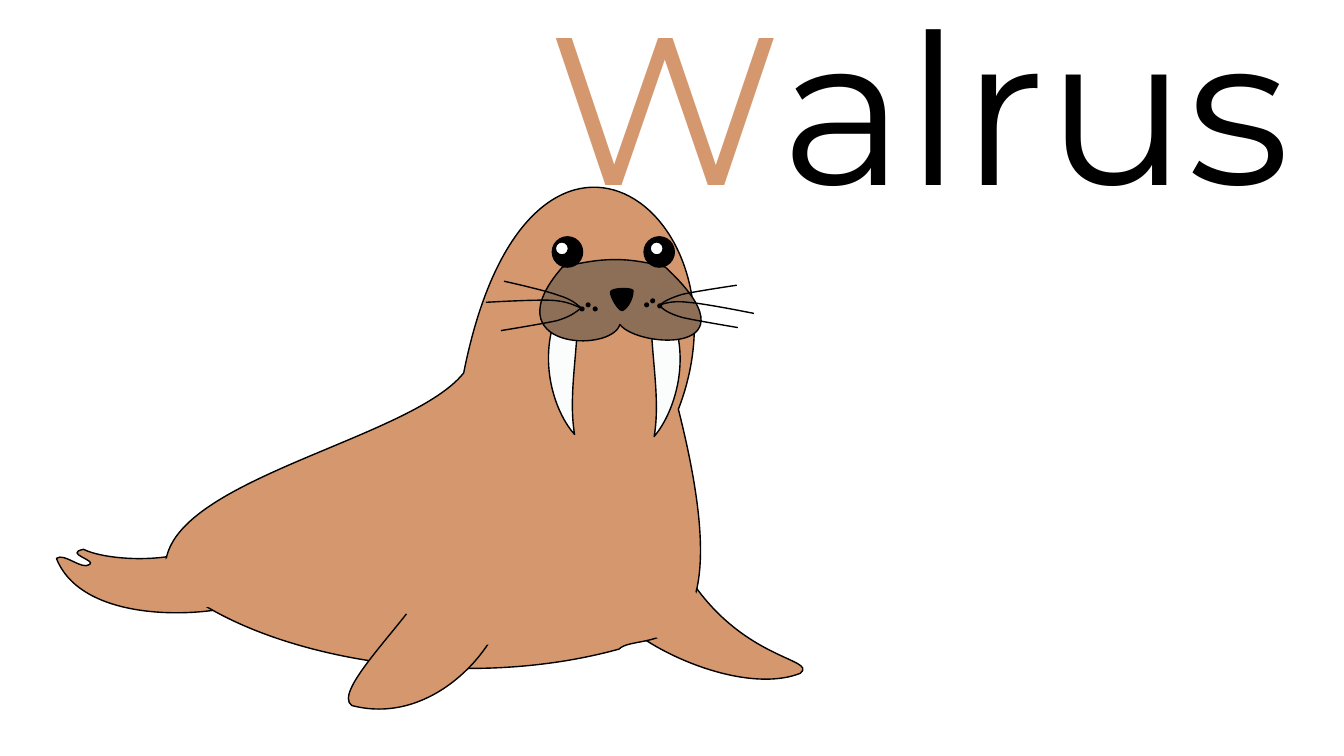
import math

import lxml.etree
import pptx
import pptx.dml.color
import pptx.enum.shapes
import pptx.oxml.ns
import pptx.util

UNIT = pptx.util.Pt(0.72)  # drawing grid: 100 units to the inch
SKIN, MUZZLE, TUSK, BLACK, WHITE = "D4976E", "8D6E56", "FBFCFC", "000000", "FFFFFF"


def color(value):
    return pptx.dml.color.RGBColor.from_string(value)


def paint(part, fill, outlined):
    part.shadow.inherit = False
    if fill:
        part.fill.solid()
        part.fill.fore_color.rgb = color(fill)
    else:
        part.fill.background()
    if outlined:
        part.line.color.rgb = color(BLACK)
        part.line.width = pptx.util.Pt(1)
    else:
        part.line.fill.background()


presentation = pptx.Presentation()
presentation.slide_width = pptx.util.Pt(960)
presentation.slide_height = pptx.util.Pt(540)
slide = presentation.slides.add_slide(presentation.slide_layouts[6])

# Title word
word = slide.shapes.add_textbox(
    pptx.util.Pt(384.5), pptx.util.Pt(-20.9), pptx.util.Pt(580.3), pptx.util.Pt(189.4))
word.text_frame.word_wrap = True
letters = word.text_frame.paragraphs[0]
letters.font.name = "Montserrat"
letters.font.size = pptx.util.Pt(150)
for text, text_color in (("W", SKIN), ("alrus", BLACK)):
    run = letters.add_run()
    run.text = text
    run.font.color.rgb = color(text_color)

# Outlines: fill, outlined, rotation, start, segments (2 numbers: line, 6: Bezier curve)
far_flipper = (SKIN, True, 354.8, (794, 668), [
    (812, 653, 734, 656, 680, 567), (603, 601), (628, 641, 736, 691, 794, 668)])
tail = (SKIN, True, 0, (250, 537), [
    (205, 537), (181, 560, 107, 557, 83, 545), (63, 549, 96, 556, 89, 560),
    (81, 566, 64, 548, 56, 554), (84, 625, 225, 611, 250, 595), (250, 537)])
body = (SKIN, True, 0, (673, 406), [
    (750, 207, 524, 47, 460, 370), (405, 439, 147, 479, 165, 572),
    (243, 648, 447, 690, 614, 644), (634, 624, 740, 671, 673, 406)])
left_tusk = (TUSK, True, 163.6, (550, 318), [
    (535, 363, 551, 410, 570, 431), (564, 396, 572, 355, 573, 318), (550, 318)])
right_tusk = (TUSK, True, 196.4, (669, 320), [
    (684, 365, 667, 412, 649, 433), (655, 398, 647, 358, 646, 320), (669, 320)])
near_flipper = (SKIN, True, 0, (349, 700), [
    (330, 687, 396, 624, 420, 586), (501, 594), (501, 635, 433, 722, 349, 700)])
muzzle = (MUZZLE, True, 0, (660, 265), [
    (619, 254, 596, 256, 558, 265), (487, 346, 606, 351, 615, 322),
    (634, 346, 754, 352, 660, 265)])
nose = (BLACK, True, 180, (606, 289), [
    (604, 292, 613, 308, 617, 308), (620, 308, 628, 299, 628, 288),
    (624, 285, 608, 286, 606, 289)])

# Borderless patches that hide the seams between body and limbs
near_flipper_patch = (SKIN, False, 56.2, (370, 562), [
    (370, 539, 460, 559, 504, 558), (543, 629), (509, 652, 399, 643, 370, 562)])
tail_patch = (SKIN, False, 22.1, (145, 581), [
    (132, 562, 218, 529, 254, 503), (326, 541), (311, 578, 214, 633, 145, 581)])
far_flipper_patch = (SKIN, False, 55.3, (569, 555), [
    (566, 534, 642, 563, 678, 567), (719, 637), (695, 653, 604, 633, 569, 555)])

whiskers = [(None, True, rotation, start, [root, tip]) for rotation, start, root, tip in (
    (15.2, (576, 305), (571, 301, 567, 297, 554, 293), (541, 288, 500, 279, 500, 279)),
    (0, (577, 306), (570, 303, 563, 299, 548, 298), (532, 297, 482, 300, 482, 300)),
    (348.3, (576, 306), (571, 310, 566, 314, 553, 318), (540, 321, 497, 328, 497, 328)),
    (349.2, (654, 303), (659, 299, 664, 296, 677, 292), (690, 289, 731, 283, 731, 283)),
    (8.5, (653, 303), (660, 301, 667, 298, 683, 300), (699, 301, 748, 311, 748, 311)),
    (11.7, (654, 303), (658, 307, 663, 311, 677, 315), (690, 318, 732, 325, 732, 325)),
)]

# Walrus, from back to front
walrus = slide.shapes.add_group_shape().shapes
for fill, outlined, rotation, start, segments in (
        far_flipper, tail, body, left_tusk, right_tusk, near_flipper, muzzle, nose,
        near_flipper_patch, tail_patch, far_flipper_patch, *whiskers):
    # Turn the points back, so that the shape's own rotation restores them
    cos, sin = math.cos(math.radians(rotation)), math.sin(math.radians(rotation))
    turned = [[(x * cos + y * sin, y * cos - x * sin)
               for x, y in zip(segment[::2], segment[1::2])]
              for segment in (start, *segments)]

    # Tight frame around the curves
    edge = [turned[0][0]]
    for segment in turned[1:]:
        if len(segment) == 1:
            edge += segment
            continue
        corners = (edge[-1], *segment)
        for step in range(1, 41):
            t = step / 40
            weights = ((1 - t) ** 3, 3 * t * (1 - t) ** 2, 3 * t * t * (1 - t), t ** 3)
            edge.append(tuple(sum(w * corner[axis] for w, corner in zip(weights, corners))
                              for axis in (0, 1)))
    (left, right), (top, bottom) = ((min(values), max(values)) for values in zip(*edge))
    width, height = right - left, bottom - top
    middle_x, middle_y = (left + right) / 2, (top + bottom) / 2
    frame_left = middle_x * cos - middle_y * sin - width / 2
    frame_top = middle_x * sin + middle_y * cos - height / 2

    outline = walrus.build_freeform(frame_left * UNIT, frame_top * UNIT)
    outline.add_line_segments(
        [((frame_left + width) * UNIT, (frame_top + height) * UNIT)], close=False)
    limb = outline.convert_to_shape()
    limb.rotation = rotation
    paint(limb, fill, outlined)

    # Real curves inside the frame
    commands = limb.element.find(".//" + pptx.oxml.ns.qn("a:path"))
    for command in list(commands):
        commands.remove(command)
    for index, segment in enumerate(turned):
        kind = "a:moveTo" if index == 0 else "a:lnTo" if len(segment) == 1 else "a:cubicBezTo"
        command = lxml.etree.SubElement(commands, pptx.oxml.ns.qn(kind))
        for x, y in segment:
            lxml.etree.SubElement(command, pptx.oxml.ns.qn("a:pt"),
                                  x=str(round((x - left) * UNIT)),
                                  y=str(round((y - top) * UNIT)))
    if fill:
        lxml.etree.SubElement(commands, pptx.oxml.ns.qn("a:close"))

# Eyes, highlights and whisker dots
eyes = [(548, 235), (639, 235)]
highlights = [(645, 240), (551, 240)]
whisker_dots = [(575, 304), (588, 304), (581, 300), (639, 300), (645, 296), (652, 301)]
for places, diameter, fill, outlined in (
        (eyes, 30, BLACK, True), (highlights, 13, WHITE, True),
        (whisker_dots, 5, BLACK, False)):
    for left, top in places:
        circle = walrus.add_shape(
            pptx.enum.shapes.MSO_SHAPE.OVAL,
            left * UNIT, top * UNIT, diameter * UNIT, diameter * UNIT)
        paint(circle, fill, outlined)

presentation.save("out.pptx")
